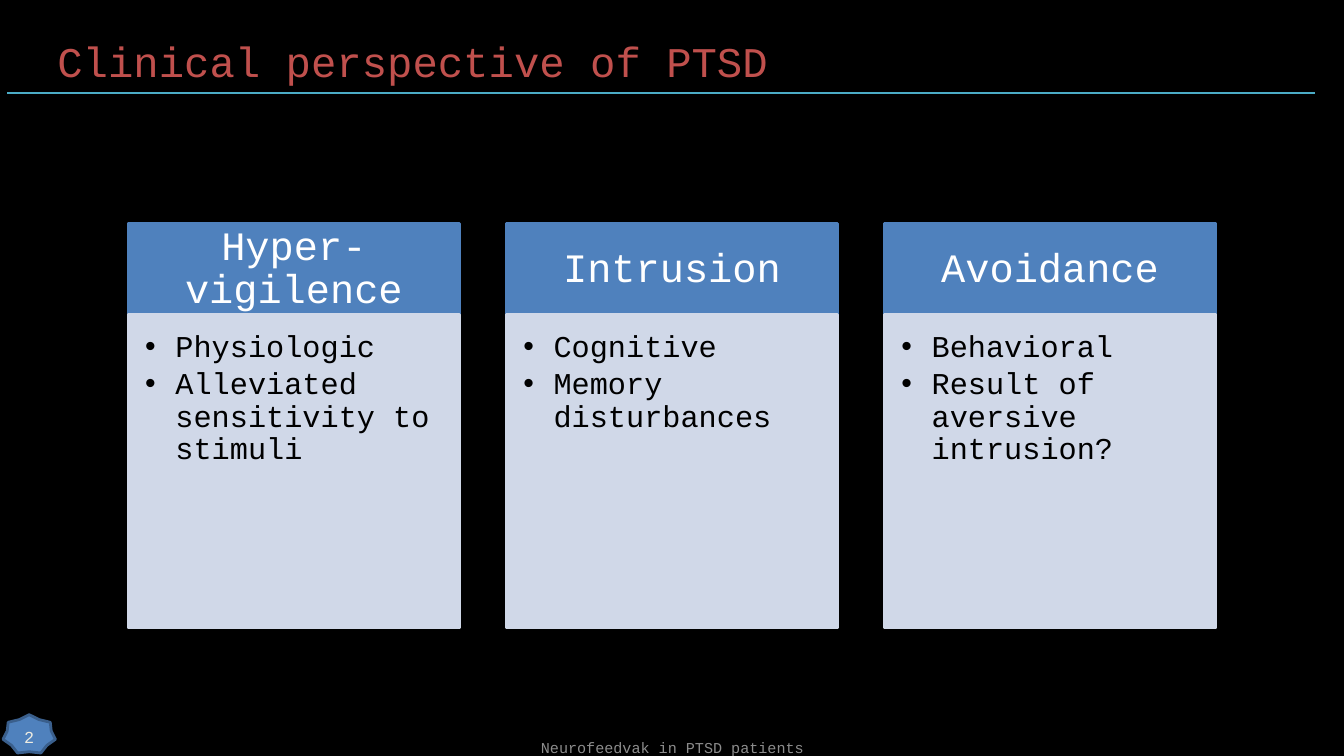
from lxml import etree
from pptx import Presentation
from pptx import util as u
from pptx.dml.color import RGBColor
from pptx.enum import shapes, text
from pptx.oxml.ns import qn

TITLE = "Clinical perspective of PTSD"
FOOTER = "Neurofeedvak in PTSD patients"
PAGE = "2"
SYMPTOMS = [
    ("Hyper-vigilence", ["Physiologic", "Alleviated sensitivity to stimuli"]),
    ("Intrusion", ["Cognitive", "Memory disturbances"]),
    ("Avoidance", ["Behavioral", "Result of aversive intrusion?"]),
]
COLORS = {
    "background": "000000", "title": "C0504D", "rule": "4BACC6",
    "header": "4F81BD", "body": "D0D8E8", "star_edge": "3A5F8C",
    "footer": "8C8C8C", "page": "EEECE1", "light": "FFFFFF", "dark": "000000",
}
FONT = "Courier New"
LEFT, TOP, PITCH = 1.27, 2.22, 3.75
WIDTH, HEADER_HEIGHT, BODY_HEIGHT = 3.29, 0.9, 3.11
INDENT = 0.3


def rgb(name):
    """Look up a colour by its role."""
    return RGBColor.from_string(COLORS[name])


def write(shape, lines, size, color, align=text.PP_ALIGN.LEFT,
          anchor=text.MSO_ANCHOR.MIDDLE, insets=(0.1, 0.05, 0.1, 0.05)):
    """Fill a shape with paragraphs of one style and return them."""
    frame = shape.text_frame
    frame.word_wrap = True
    frame.vertical_anchor = anchor
    (frame.margin_left, frame.margin_top,
     frame.margin_right, frame.margin_bottom) = map(u.Inches, insets)
    frame.text = "\n".join(lines)
    for paragraph in frame.paragraphs:
        paragraph.alignment = align
        paragraph.font.name = FONT
        paragraph.font.size = u.Pt(size)
        paragraph.font.color.rgb = rgb(color)
    return frame.paragraphs


def add_label(box, line, size, color, **style):
    """Add a one-line text box."""
    label = slide.shapes.add_textbox(*map(u.Inches, box))
    write(label, [line], size, color, **style)


def add_block(kind, box, fill, edge):
    """Add a filled preset shape with a 2 pt outline."""
    block = slide.shapes.add_shape(kind, *map(u.Inches, box))
    block.shadow.inherit = False
    block.fill.solid()
    block.fill.fore_color.rgb = rgb(fill)
    block.line.color.rgb = rgb(edge)
    block.line.width = u.Pt(2)
    return block


def add_bullet(paragraph):
    """Give a paragraph a hanging bullet."""
    properties = paragraph._p.get_or_add_pPr()
    properties.set("marL", str(u.Inches(INDENT)))
    properties.set("indent", str(-u.Inches(INDENT)))
    etree.SubElement(properties, qn("a:buFont")).set("typeface", "Arial")
    etree.SubElement(properties, qn("a:buChar")).set("char", "•")


def add_column(left, heading, points):
    """Add a symptom heading with its bulleted panel below."""
    header = add_block(shapes.MSO_SHAPE.RECTANGLE,
                       (left, TOP, WIDTH, HEADER_HEIGHT), "header", "header")
    for paragraph in write(header, [heading], 28.8, "light", text.PP_ALIGN.CENTER,
                           insets=(0.22, 0.13, 0.22, 0.13)):
        paragraph.line_spacing = 0.9
    body = add_block(shapes.MSO_SHAPE.RECTANGLE,
                     (left, TOP + HEADER_HEIGHT, WIDTH, BODY_HEIGHT), "body", "body")
    for paragraph in write(body, points, 21.6, "dark", anchor=text.MSO_ANCHOR.TOP,
                           insets=(0.17, 0.17, 0.22, 0.25)):
        paragraph.line_spacing = 0.9
        paragraph.space_after = u.Pt(3)
        add_bullet(paragraph)


prs = Presentation()
prs.slide_width, prs.slide_height = u.Inches(13.33), u.Inches(7.5)
slide = prs.slides.add_slide(prs.slide_layouts[6])
slide.background.fill.solid()
slide.background.fill.fore_color.rgb = rgb("background")

star = add_block(shapes.MSO_SHAPE.STAR_7_POINT, (0.03, 7.09, 0.52, 0.38),
                 "header", "star_edge")
star.adjustments[0] = 0.42

rule = slide.shapes.add_connector(shapes.MSO_CONNECTOR.STRAIGHT,
                                  *map(u.Inches, (0.07, 0.92, 13.04, 0.92)))
rule.line.color.rgb = rgb("rule")
rule.line.width = u.Pt(1.5)
etree.SubElement(rule._element.spPr, qn("a:effectLst"))

add_label((0.47, 0.3, 12.49, 0.61), TITLE, 30.2, "title")
add_label((4.56, 7.34, 4.22, 0.16), FOOTER, 10.8, "footer",
          align=text.PP_ALIGN.CENTER, insets=(0.1, 0, 0.1, 0))
add_label((0, 7.18, 0.58, 0.25), PAGE, 12, "page", align=text.PP_ALIGN.CENTER)

for index, (heading, points) in enumerate(SYMPTOMS):
    add_column(LEFT + index * PITCH, heading, points)

prs.save("out.pptx")
